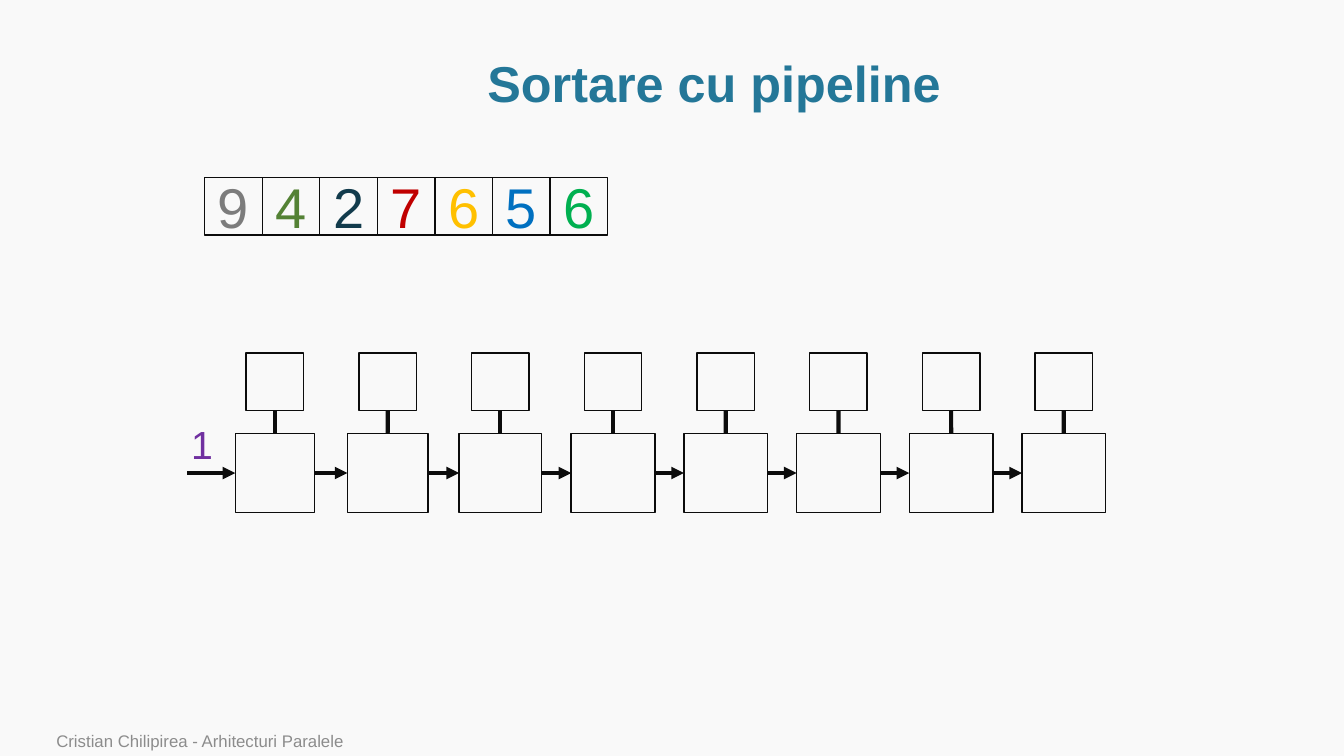
from dataclasses import dataclass

from lxml import etree
from pptx import Presentation
from pptx.dml.color import RGBColor
from pptx.enum import shapes, text
from pptx.oxml import ns
from pptx.util import Cm, Pt

TOP, LEFT, BOTTOM, RIGHT = range(4)


@dataclass(frozen=True)
class Theme:
    font: str = "Arial"
    background: str = "F9F9F9"
    ink: str = "0C0C0C"
    title: str = "247798"
    footer: str = "8C8C8C"
    incoming: str = "7030A0"
    title_size: int = 36
    number_size: int = 40
    incoming_size: int = 28
    footer_size: int = 12
    outline: int = 1
    link: int = 3


THEME = Theme()
NUMBERS = [("9", "7C7C7C"), ("4", "548235"), ("2", "123B4C"), ("7", "C00000"),
           ("6", "FFC000"), ("5", "0070C0"), ("6", "00B050")]
STAGE_WIDTHS = [2.0, 2.03, 2.08] + [2.11] * 5
SQUARE = 1.45


def write(frame, words, size, color, anchor, align=text.PP_ALIGN.LEFT, bold=False):
    frame.text = words
    frame.vertical_anchor = anchor
    paragraph = frame.paragraphs[0]
    paragraph.alignment = align
    font = paragraph.runs[0].font
    font.name, font.size, font.bold = THEME.font, Pt(size), bold
    font.color.rgb = RGBColor.from_string(color)


def add_box(slide, left, top, width, height):
    box = slide.shapes.add_shape(shapes.MSO_SHAPE.RECTANGLE,
                                 Cm(left), Cm(top), Cm(width), Cm(height))
    box.shadow.inherit = False
    box.fill.background()
    box.line.color.rgb = RGBColor.from_string(THEME.ink)
    box.line.width = Pt(THEME.outline)
    return box


def add_link(slide, start, end, arrow=False):
    link = slide.shapes.add_connector(shapes.MSO_CONNECTOR.STRAIGHT,
                                      *map(Cm, start), *map(Cm, end))
    link.line.color.rgb = RGBColor.from_string(THEME.ink)
    link.line.width = Pt(THEME.link)
    if arrow:
        etree.SubElement(link.line._get_or_add_ln(), ns.qn("a:tailEnd"), type="triangle")
    etree.SubElement(link._element.spPr, ns.qn("a:effectLst"))
    return link


def add_title(slide, left, top, width, height):
    title = slide.shapes.title
    title.left, title.top, title.width, title.height = map(Cm, (left, top, width, height))
    write(title.text_frame, "Sortare cu pipeline", THEME.title_size, THEME.title,
          text.MSO_ANCHOR.MIDDLE, text.PP_ALIGN.CENTER, bold=True)
    title.text_frame.paragraphs[0].line_spacing = 0.9


def add_number_array(slide, left, top):
    for index, (number, color) in enumerate(NUMBERS):
        cell = add_box(slide, left + index * SQUARE, top, SQUARE, SQUARE)
        write(cell.text_frame, number, THEME.number_size, color,
              text.MSO_ANCHOR.MIDDLE, text.PP_ALIGN.CENTER)


def add_pipeline(slide, left, top, pitch=2.84, stage_height=2.0):
    """Draw the stages with a register above each and arrows between them."""
    stage_top = top + 2.02
    middle = stage_top + stage_height / 2
    previous = None
    previous_right = left
    for index, width in enumerate(STAGE_WIDTHS):
        center = left + 2.21 + index * pitch
        stage_left = center - width / 2
        stage = add_box(slide, stage_left, stage_top, width, stage_height)
        register = add_box(slide, center - SQUARE / 2, top, SQUARE, SQUARE)

        stem = add_link(slide, (center, stage_top), (center, top + SQUARE))
        stem.begin_connect(stage, TOP)
        stem.end_connect(register, BOTTOM)

        arrow = add_link(slide, (previous_right, middle), (stage_left, middle), arrow=True)
        if previous is not None:
            arrow.begin_connect(previous, RIGHT)
        arrow.end_connect(stage, LEFT)
        previous, previous_right = stage, stage_left + width

    incoming = slide.shapes.add_textbox(Cm(left - 0.15), Cm(top + 1.56), Cm(1.07), Cm(SQUARE))
    write(incoming.text_frame, "1", THEME.incoming_size, THEME.incoming, text.MSO_ANCHOR.TOP)


def add_footer(slide, left, top, width, height):
    footer = slide.shapes.add_textbox(Cm(left), Cm(top), Cm(width), Cm(height))
    footer.text_frame.word_wrap = True
    write(footer.text_frame, "Cristian Chilipirea - Arhitecturi Paralele",
          THEME.footer_size, THEME.footer, text.MSO_ANCHOR.BOTTOM)


def main():
    deck = Presentation()
    deck.slide_width, deck.slide_height = Cm(33.87), Cm(19.05)
    slide = deck.slides.add_slide(deck.slide_layouts.get_by_name("Title Only"))
    slide.background.fill.solid()
    slide.background.fill.fore_color.rgb = RGBColor.from_string(THEME.background)

    add_title(slide, 2.9, 1.3, 30.2, 1.75)
    add_pipeline(slide, 4.72, 8.9)
    add_number_array(slide, 5.16, 4.47)
    add_footer(slide, 1.17, 18.34, 24.94, 0.71)
    deck.save("out.pptx")


if __name__ == "__main__":
    main()
